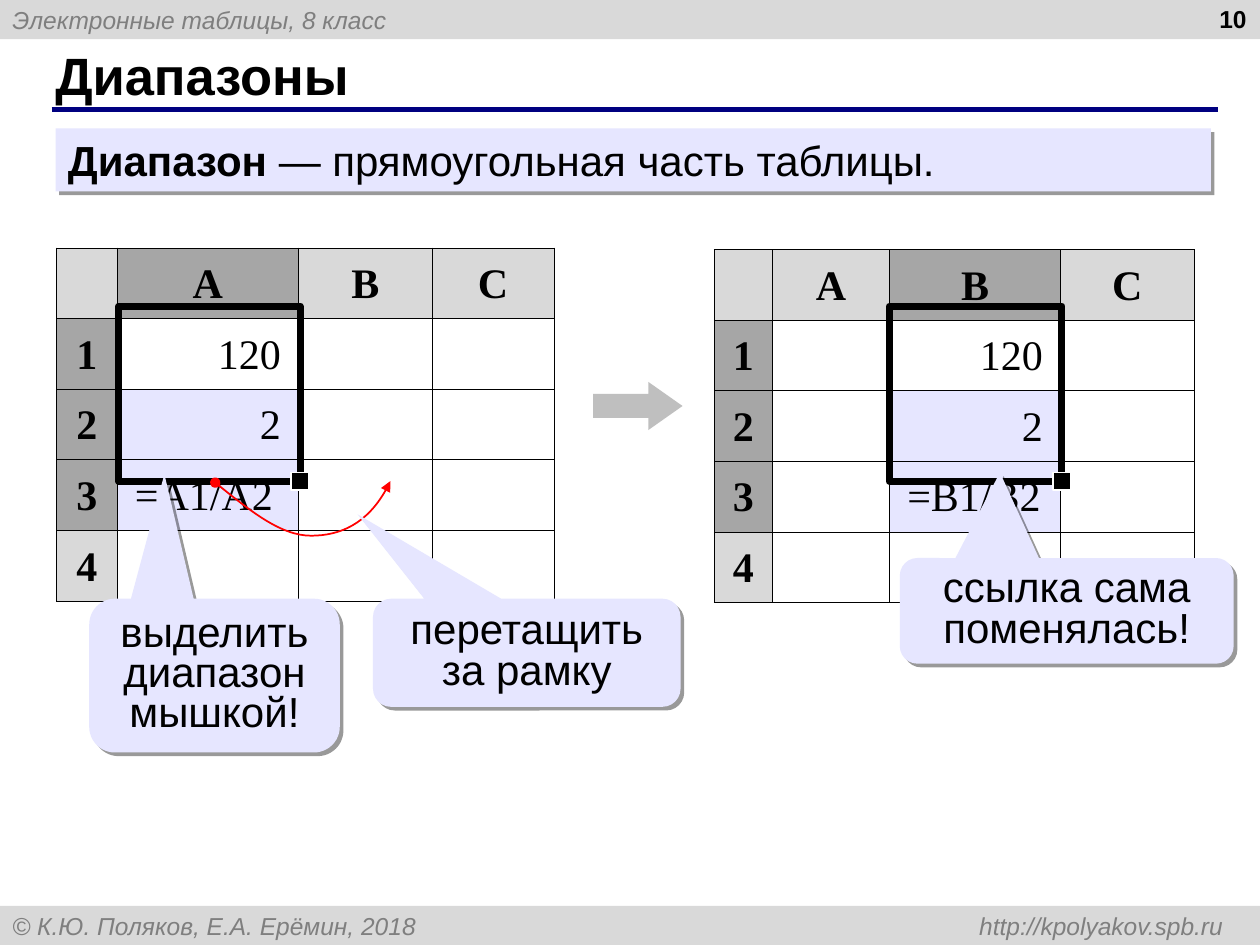
from lxml.etree import SubElement as Sub
from pptx import Presentation
from pptx.dml.color import RGBColor
from pptx.enum.shapes import MSO_CONNECTOR as Link, MSO_SHAPE as Form
from pptx.enum.text import MSO_ANCHOR as Anchor, MSO_AUTO_SIZE as Fit, PP_ALIGN as Align
from pptx.oxml import parse_xml
from pptx.oxml.ns import nsdecls, qn
from pptx.util import Cm, Pt

BLACK, GREY, PALE, DARK = "000000", "D9D9D9", "E6E6FF", "A6A6A6"


def tint(code):
    return RGBColor.from_string(code)


def put(frame, text, size=24, face="Arial", color=BLACK, bold=False, italic=False,
        align=Align.LEFT, anchor=None, space=None, hang=0, tab=0):
    """Write one paragraph; text is a string or a list of (string, bold) runs."""
    frame.word_wrap = True
    if anchor is not None:
        frame.vertical_anchor = anchor
    para = frame.paragraphs[0]
    props = para._p.get_or_add_pPr()
    if tab:
        stops = Sub(props, qn("a:tabLst"))
        Sub(stops, qn("a:tab"), pos=str(Cm(tab)), algn="r")
    if hang:
        props.set("marL", str(Cm(hang)))
        props.set("indent", str(-Cm(hang)))
    para.alignment = align
    if space:
        para.line_spacing = space
    for part, heavy in [(text, bold)] if isinstance(text, str) else text:
        run = para.add_run()
        run.text = part
        font = run.font
        font.name, font.size = face, Pt(size)
        font.bold, font.italic = heavy, italic
        font.color.rgb = tint(color)


class Page:
    def __init__(self, deck):
        self.slide = deck.slides.add_slide(deck.slide_layouts[5])
        self.shapes = self.slide.shapes

    def title(self, text, *box):
        head = self.shapes.title
        head.left, head.top, head.width, head.height = map(Cm, box)
        head.text_frame.auto_size = Fit.NONE
        put(head.text_frame, text, size=30, bold=True, anchor=Anchor.MIDDLE)

    def label(self, text, *box, **style):
        put(self.shapes.add_textbox(*map(Cm, box)).text_frame, text, **style)

    def shape(self, form, *box, fill=None, line=None, width=1, shade=False, home=None):
        item = (home or self.shapes).add_shape(form, *map(Cm, box))
        item.shadow.inherit = False
        if fill:
            item.fill.solid()
            item.fill.fore_color.rgb = tint(fill)
        else:
            item.fill.background()
        if line:
            item.line.color.rgb = tint(line)
            item.line.width = Pt(width)
        else:
            item.line.fill.background()
        if shade:
            effects = item._element.spPr.find(qn("a:effectLst"))
            effects.append(parse_xml(
                f'<a:outerShdw {nsdecls("a")} blurRad="0" dist="{Pt(3)}" dir="2700000" '
                'algn="tl" rotWithShape="0"><a:srgbClr val="000000">'
                '<a:alpha val="40000"/></a:srgbClr></a:outerShdw>'))
        return item

    def bar(self, top, text, tab=0):
        item = self.shape(Form.RECTANGLE, 0, top, 25.4, 0.79, fill=GREY)
        put(item.text_frame, text, size=14, color="7F7F7F", italic=True,
            anchor=Anchor.MIDDLE, tab=tab)

    def rule(self, left, right, y):
        line = self.shapes.add_connector(Link.STRAIGHT, Cm(left), Cm(y), Cm(right), Cm(y))
        line.line.color.rgb = tint("000080")
        line.line.width = Pt(3)
        Sub(line._element.spPr, qn("a:effectLst"))

    def sheet(self, left, top, widths, live):
        """Draw a sheet whose column number `live` holds the data."""
        high = 1.17
        grid = self.shapes.add_table(5, 4, Cm(left), Cm(top), Cm(sum(widths)), Cm(5 * high)).table
        grid.first_row = grid.horz_banding = False
        for col, width in zip(grid.columns, widths):
            col.width = Cm(width)
        for row in grid.rows:
            row.height = Cm(high)
        name = "ABC"[live - 1]
        data = ["120", "2", f"={name}1/{name}2"]
        for r in range(5):
            for c in range(4):
                text, fill, align = "", None, Align.CENTER
                if r == 0 or c == 0:
                    text = " ABC"[c].strip() if r == 0 else str(r)
                    fill = DARK if (r == 0 and c == live) or r in (1, 2, 3) else GREY
                elif c == live and r < 4:
                    text = data[r - 1]
                    fill = PALE if r > 1 else None
                    align = Align.LEFT if r == 3 else Align.RIGHT
                self.cell(grid.cell(r, c), text, fill, align, r == 0 or c == 0)

    def cell(self, cell, text, fill, align, bold):
        cell.margin_left = cell.margin_right = Cm(0.36)
        if fill:
            cell.fill.solid()
            cell.fill.fore_color.rgb = tint(fill)
        else:
            cell.fill.background()
        for spot, side in enumerate("LRTB"):
            cell._tc.get_or_add_tcPr().insert(spot, parse_xml(
                f'<a:ln{side} {nsdecls("a")} w="{Pt(0.45)}"><a:solidFill>'
                f'<a:srgbClr val="{BLACK}"/></a:solidFill></a:ln{side}>'))
        if text:
            put(cell.text_frame, text, face="Times New Roman", bold=bold,
                align=align, space=1.15)

    def frame(self, left, top, width, height):
        """Selection frame with a fill handle centred on its corner."""
        home = self.shapes.add_group_shape().shapes
        self.shape(Form.RECTANGLE, left, top, width, height, line=BLACK, width=4, home=home)
        side = 0.36
        self.shape(Form.RECTANGLE, left + width - side / 2, top + height - side / 2,
                   side, side, fill=BLACK, line="FFFFFF", width=0.75, home=home)

    def curve(self, start, *points):
        """Draw Bezier arcs; each three points are two controls and an end."""
        pen = self.shapes.build_freeform(*map(Cm, start))
        pen.add_line_segments([(Cm(x), Cm(y)) for x, y in points], close=False)
        item = pen.convert_to_shape()
        item.shadow.inherit = False
        item.fill.background()
        item.line.color.rgb = tint("FF0000")
        item.line.width = Pt(1)
        steps = list(item._element.iter(qn("a:lnTo")))
        for i in range(0, len(steps), 3):
            trio = steps[i:i + 3]
            trio[0].addprevious(arc := parse_xml(f'<a:cubicBezTo {nsdecls("a")}/>'))
            for step in trio:
                arc.append(step[0])
                step.getparent().remove(step)
        ends = item.line._get_or_add_ln()
        Sub(ends, qn("a:headEnd"), type="oval")
        Sub(ends, qn("a:tailEnd"), type="triangle")

    def note(self, text, *box, tip):
        item = self.shape(Form.ROUNDED_RECTANGULAR_CALLOUT, *box, fill=PALE, shade=True)
        for i, value in enumerate((*tip, 0.167)):
            item.adjustments[i] = value
        put(item.text_frame, text, align=Align.CENTER, anchor=Anchor.MIDDLE, space=0.8)


def main():
    deck = Presentation()
    deck.slide_width, deck.slide_height = Cm(25.4), Cm(19.05)
    page = Page(deck)

    # Bars, title and page number
    page.bar(0, "Электронные таблицы, 8 класс")
    page.bar(18.26, "© К.Ю. Поляков, Е.А. Ерёмин, 2018 \thttp://kpolyakov.spb.ru", tab=24.41)
    page.rule(1.04, 24.56, 2.21)
    page.title("Диапазоны", 0.86, 0.84, 23.27, 1.32)
    page.label("10", 19.46, -0.05, 5.92, 1.32, size=14, bold=True, align=Align.RIGHT)

    # Definition
    term = page.shape(Form.RECTANGLE, 1.12, 2.59, 23.29, 1.27, fill=PALE, shade=True)
    put(term.text_frame, [("Диапазон ", True), ("— прямоугольная часть таблицы.", False)],
        anchor=Anchor.TOP, hang=1.02)
    term.text_frame.auto_size = Fit.SHAPE_TO_FIT_TEXT

    # Sheets before and after the move
    page.sheet(1.14, 5, (1.22, 3.66, 2.69, 2.46), live=1)
    page.sheet(14.4, 5.03, (1.17, 2.36, 3.45, 2.69), live=2)
    arrow = page.shape(Form.RIGHT_ARROW, 11.96, 7.7, 1.8, 0.97, fill="BFBFBF")
    arrow.adjustments[0], arrow.adjustments[1] = 0.5, 0.71

    # Selection frames and drag line
    page.frame(2.39, 6.17, 3.66, 3.53)
    page.frame(17.93, 6.17, 3.48, 3.53)
    page.curve((4.34, 9.73), (5, 10.26), (5.66, 10.8), (6.27, 10.8),
               (6.86, 10.8), (7.49, 10.52), (7.87, 9.7))

    # Callouts
    page.note("ссылка сама поменялась!", 18.14, 11.25, 6.73, 2.13, tip=(-0.2, -1.31))
    page.note("выделить диапазон мышкой!", 1.8, 12.07, 5.05, 3.1, tip=(-0.2, -1.31))
    page.note("перетащить за рамку", 7.52, 12.07, 6.2, 2.18, tip=(-0.55, -1.28))

    deck.save("out.pptx")


if __name__ == "__main__":
    main()
